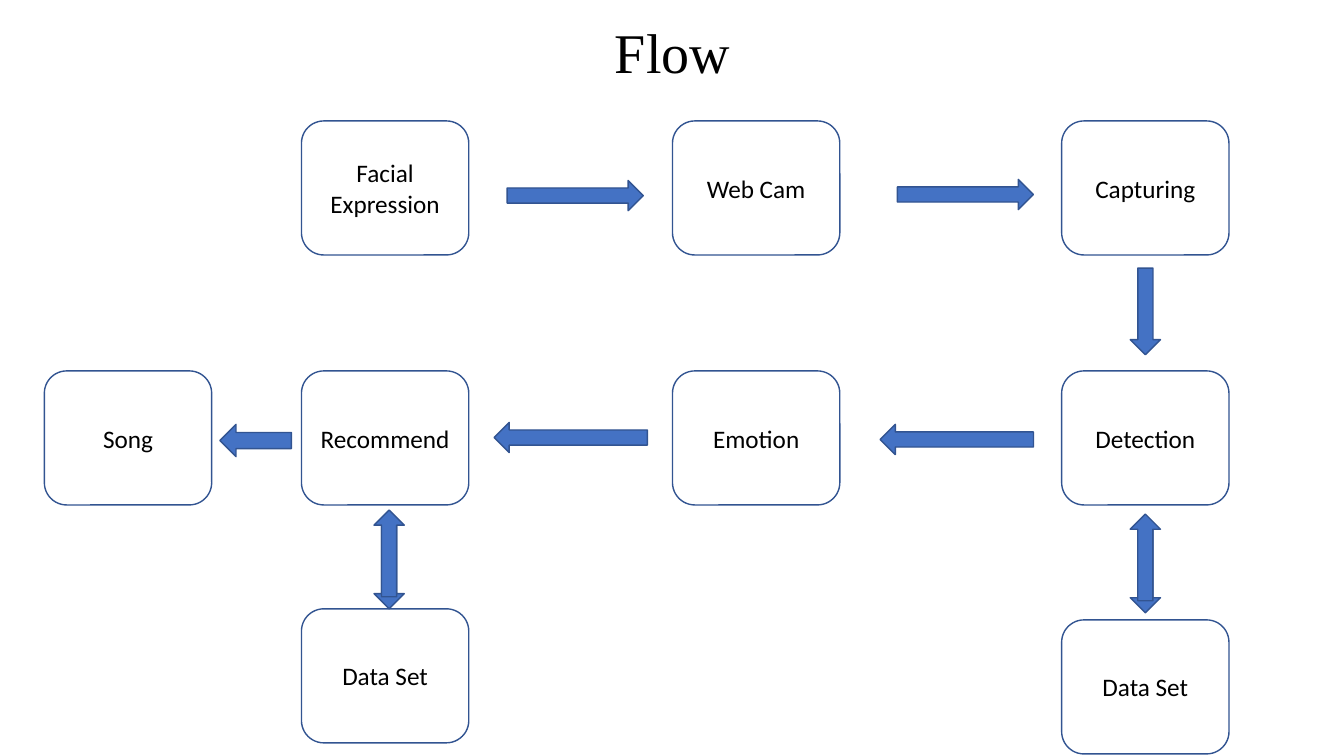
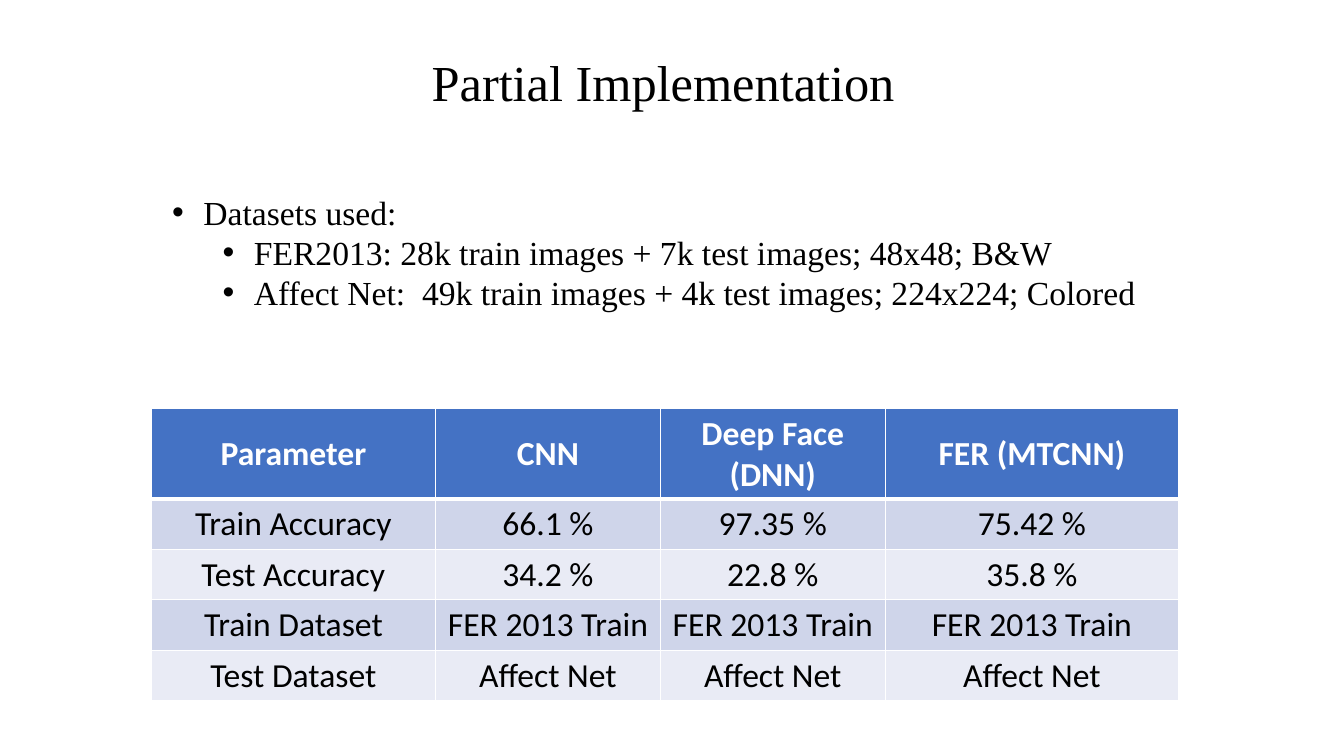
from lxml.etree import SubElement
from pptx import Presentation
from pptx.dml.color import RGBColor
from pptx.enum.shapes import MSO_SHAPE
from pptx.enum.text import MSO_ANCHOR, PP_ALIGN
from pptx.oxml.ns import qn
from pptx.util import Inches, Pt

BLACK, WHITE = "000000", "FFFFFF"
BLUE, OUTLINE = "4472C4", "325491"
BANDS = ("CFD5EA", "E9EBF5")
SERIF, SANS = "Times New Roman", "Calibri"
RIGHT, DOWN, LEFT, UP = 0, 90, 180, 270


def color(value):
    """Turn a hex string into an RGB colour."""
    return RGBColor.from_string(value)


class Deck:
    """Holds the shared style and the current slide."""

    def __init__(self):
        """Start an empty widescreen presentation."""
        self.prs = Presentation()
        self.prs.slide_width = Inches(13.33)
        self.prs.slide_height = Inches(7.5)

    def add_slide(self):
        """Add a blank slide and make it current."""
        self.s = self.prs.slides.add_slide(self.prs.slide_layouts[6])

    def style(self, p, size, font=SANS, ink=BLACK, align=PP_ALIGN.CENTER, bold=False):
        """Set the font and alignment of a paragraph."""
        p.alignment = align
        p.font.size, p.font.name, p.font.bold = Pt(size), font, bold
        p.font.color.rgb = color(ink)

    def text_box(self, x, y, w, h):
        """Add a wrapping text box and return its text frame."""
        tf = self.s.shapes.add_textbox(Inches(x), Inches(y), Inches(w), Inches(h)).text_frame
        tf.word_wrap = True
        return tf

    def title(self, text, x, y, w, h, size):
        """Add a centred slide title."""
        tf = self.text_box(x, y, w, h)
        tf.vertical_anchor = MSO_ANCHOR.MIDDLE
        tf.text = text
        self.style(tf.paragraphs[0], size, SERIF)

    def shape(self, kind, x, y, w, h, fill):
        """Add a flat outlined preset shape."""
        sp = self.s.shapes.add_shape(kind, Inches(x), Inches(y), Inches(w), Inches(h))
        sp.shadow.inherit = False
        sp.fill.solid()
        sp.fill.fore_color.rgb = color(fill)
        sp.line.color.rgb = color(OUTLINE)
        sp.line.width = Pt(1)
        return sp

    def step(self, text, x, y):
        """Add one rounded step of the flow."""
        tf = self.shape(MSO_SHAPE.ROUNDED_RECTANGLE, x, y, 1.66, 1.33, WHITE).text_frame
        tf.word_wrap = True
        tf.vertical_anchor = MSO_ANCHOR.MIDDLE
        tf.text = text
        self.style(tf.paragraphs[0], 18)

    def arrow(self, x, y, length, heading, thickness=0.3):
        """Add a block arrow, turned about its centre to its heading."""
        sp = self.shape(MSO_SHAPE.RIGHT_ARROW, x, y, length, thickness, BLUE)
        sp.rotation = heading

    def two_way_arrow(self, x, y):
        """Add a vertical pair of overlapping arrows."""
        self.arrow(x, y + 0.12, 0.86, DOWN)
        self.arrow(x, y, 0.86, UP)

    def bullets(self, items, x, y, w, h):
        """Add a bulleted list from (level, text) pairs."""
        tf = self.text_box(x, y, w, h)
        for i, (level, text) in enumerate(items):
            p = tf.paragraphs[0] if i == 0 else tf.add_paragraph()
            p.text, p.level = text, level
            p.line_spacing = Pt(28.6)
            self.style(p, 24, SERIF, align=PP_ALIGN.LEFT)
            pPr = p._p.get_or_add_pPr()
            pPr.set("marL", str(Inches(0.31 + 0.5 * level)))
            pPr.set("indent", str(Inches(-0.31)))
            bu_font = pPr.makeelement(qn("a:buFont"), {"typeface": "Arial"})
            bu_char = pPr.makeelement(qn("a:buChar"), {"char": "•"})
            at = pPr.index(pPr.find(qn("a:defRPr")))
            pPr.insert(at, bu_font)
            pPr.insert(at + 1, bu_char)

    def borders(self, cell, bottom):
        """Draw white borders round a cell."""
        tcPr = cell._tc.get_or_add_tcPr()
        for i, (side, width) in enumerate((("L", 1), ("R", 1), ("T", 1), ("B", bottom))):
            ln = tcPr.makeelement(qn(f"a:ln{side}"), {"w": str(Pt(width))})
            SubElement(SubElement(ln, qn("a:solidFill")), qn("a:srgbClr"), val=WHITE)
            tcPr.insert(i, ln)

    def table(self, rows, x, y, widths, heights):
        """Add a banded table with a blue header row."""
        frame = self.s.shapes.add_table(len(rows), len(widths), Inches(x), Inches(y),
                                        Inches(sum(widths)), Inches(sum(heights)))
        tbl = frame.table
        for column, width in zip(tbl.columns, widths):
            column.width = Inches(width)
        for r, (row, height) in enumerate(zip(rows, heights)):
            tbl.rows[r].height = Inches(height)
            header = r == 0
            for c, text in enumerate(row):
                cell = tbl.cell(r, c)
                cell.text = text
                cell.vertical_anchor = MSO_ANCHOR.MIDDLE
                cell.fill.solid()
                cell.fill.fore_color.rgb = color(BLUE if header else BANDS[(r - 1) % 2])
                self.style(cell.text_frame.paragraphs[0], 24,
                           ink=WHITE if header else BLACK, bold=header)
                self.borders(cell, 3 if header else 1)


def flow_slide(deck):
    """Build the flow from facial expression to song."""
    deck.add_slide()
    song_x, first_x, middle_x, last_x = 0.44, 2.99, 6.67, 10.53
    top_y, middle_y = 1.2, 3.68
    for text, x, y in (
        ("Facial Expression", first_x, top_y),
        ("Web Cam", middle_x, top_y),
        ("Capturing", last_x, top_y),
        ("Detection", last_x, middle_y),
        ("Emotion", middle_x, middle_y),
        ("Recommend", first_x, middle_y),
        ("Song", song_x, middle_y),
        ("Data Set", first_x, 6.04),
        ("Data Set", last_x, 6.15),
    ):
        deck.step(text, x, y)
    deck.arrow(5.03, 1.79, 1.35, RIGHT)
    deck.arrow(8.9, 1.78, 1.35, RIGHT)
    deck.arrow(10.93, 2.94, 0.86, DOWN)
    deck.arrow(8.73, 4.21, 1.52, LEFT)
    deck.arrow(4.9, 4.19, 1.52, LEFT)
    deck.arrow(2.18, 4.21, 0.71, LEFT, 0.32)
    deck.two_way_arrow(3.43, 5.34)
    deck.two_way_arrow(10.93, 5.38)
    deck.title("Flow", 4.46, 0.12, 4.42, 0.77, 40)


def implementation_slide(deck):
    """Build the datasets list and the accuracy table."""
    deck.add_slide()
    deck.title("Partial Implementation", 1.75, 0.45, 9.66, 0.71, 36)
    deck.bullets((
        (0, "Datasets used:"),
        (1, "FER2013: 28k train images + 7k test images; 48x48; B&W"),
        (1, "Affect Net:\u00a0 49k train images + 4k test images;\u00a0224x224;\u00a0Colored"),
    ), 1.61, 1.86, 10.47, 1.71)
    deck.table((
        ("Parameter", "CNN", "Deep Face (DNN)", "FER (MTCNN)"),
        ("Train Accuracy", "66.1 %", "97.35 %", "75.42 %"),
        ("Test Accuracy", "34.2 %", "22.8 %", "35.8 %"),
        ("Train Dataset",) + ("FER 2013 Train",) * 3,
        ("Test Dataset",) + ("Affect Net",) * 3,
    ), 1.5, 4.05, (2.82, 2.23, 2.23, 2.91), (0.9,) + (0.5,) * 4)


deck = Deck()
flow_slide(deck)
implementation_slide(deck)
deck.prs.save("out.pptx")
